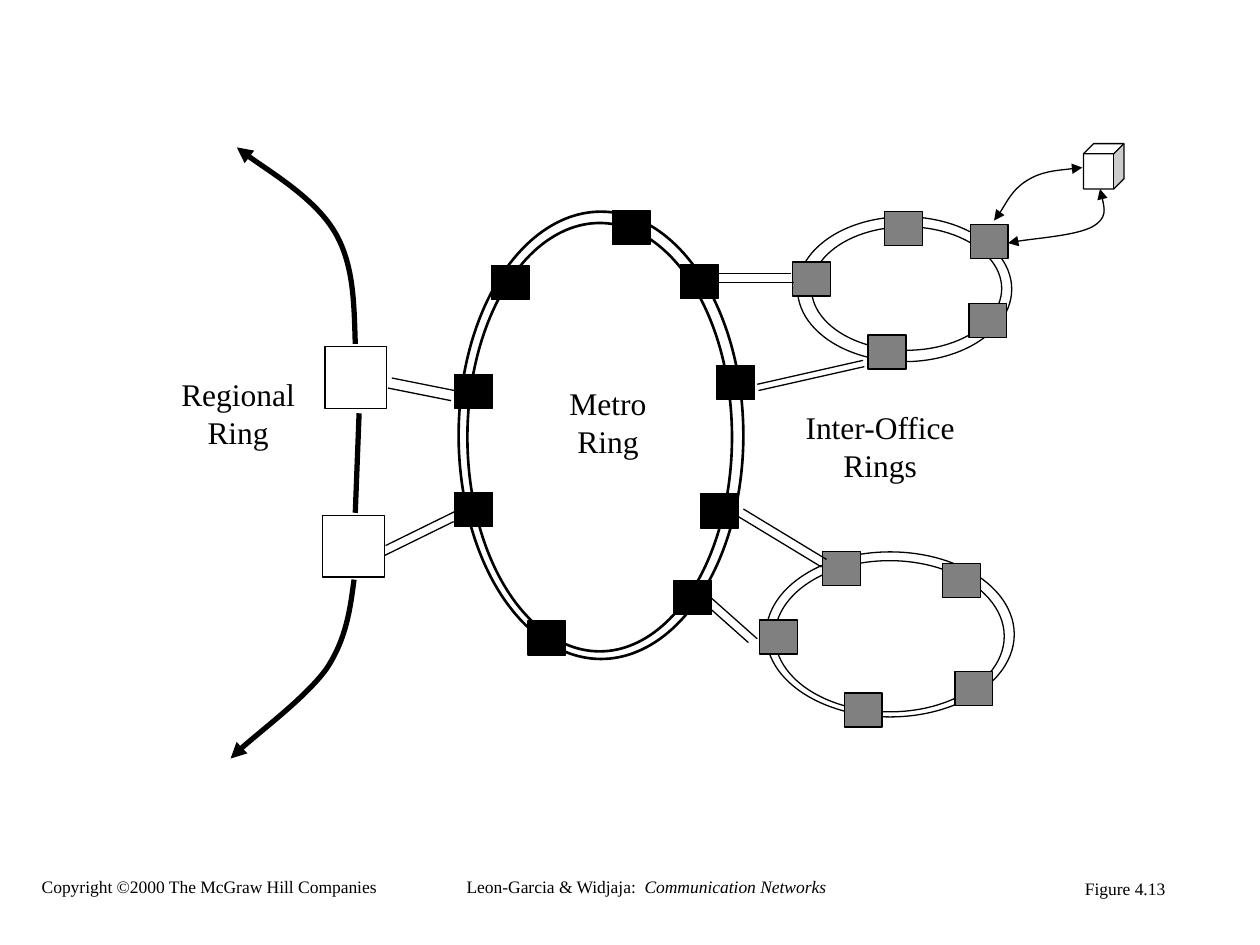
from lxml import etree
from pptx import Presentation
from pptx.dml.color import RGBColor
from pptx.enum.shapes import MSO_CONNECTOR, MSO_SHAPE
from pptx.enum.text import MSO_ANCHOR, PP_ALIGN
from pptx.oxml.ns import qn
from pptx.util import Cm, Pt

OVAL, SQUARE, CUBE = MSO_SHAPE.OVAL, MSO_SHAPE.RECTANGLE, MSO_SHAPE.CUBE
STRAIGHT = MSO_CONNECTOR.STRAIGHT
MIDDLE, CENTER = MSO_ANCHOR.MIDDLE, PP_ALIGN.CENTER
FONT = "Times New Roman"
BLACK, GRAY, WHITE = "000000", "808080", "FFFFFF"
CM_PER_INCH = 2.54
THIN, MEDIUM, THICK = 0.75, 1.5, 3
NODE_SIZE = (0.3, 0.27)
HUB_SIZE = (0.49, 0.49)

RINGS = [
    {"outer": (6.08, 4.38, 1.97, 1.31), "inner": (6.15, 4.45, 1.82, 1.2),
     "line": THIN, "fill": GRAY,
     "nodes": [(7.58, 5.33), (7.48, 4.47), (6.53, 4.38), (6.7, 5.5), (6.03, 4.92)]},
    {"outer": (6.33, 1.72, 1.7, 1.15), "inner": (6.44, 1.8, 1.51, 0.98),
     "line": THIN, "fill": GRAY,
     "nodes": [(7.69, 2.41), (7.02, 1.68), (6.29, 2.08), (6.89, 2.66), (7.7, 1.78)]},
    {"outer": (3.64, 1.68, 2.26, 3.55), "inner": (3.71, 1.77, 2.1, 3.4),
     "line": MEDIUM, "fill": BLACK,
     "nodes": [(5.69, 2.9), (5.4, 2.1), (4.86, 1.67), (5.56, 3.92), (3.61, 3.91),
               (4.19, 4.93), (3.61, 2.97), (5.35, 4.61), (3.9, 2.11)]},
]
HUBS = [(2.58, 2.75), (2.56, 4.09)]
CUSTOMER = (8.6, 1.14, 0.32, 0.36)

DOUBLE_LINKS = [
    ((5.71, 2.24), (6.3, 2.24), (-0.02, -0.07)),
    ((6.01, 3.05), (6.85, 2.86), (0.01, 0.05)),
    ((5.9, 4.04), (6.56, 4.44), (-0.04, 0.06)),
    ((5.65, 4.75), (6.01, 5.07), (-0.07, 0.03)),
    ((3.11, 3), (3.61, 3.1), (-0.03, 0.08)),
    ((3.06, 4.33), (3.61, 4.06), (-0.01, 0.08)),
]
HUB_LINK = ((2.85, 3.28), (2.82, 4.07))

CURVES = [
    ([(8.59, 1.33), (8.42, 1.35), (8.26, 1.36), (8.14, 1.44),
      (8.03, 1.51), (7.94, 1.7), (7.89, 1.75)], THIN, ("headEnd", "tailEnd")),
    ([(8.73, 1.5), (8.76, 1.61), (8.79, 1.73), (8.67, 1.8),
      (8.54, 1.87), (8.11, 1.9), (8, 1.93)], THIN, ("headEnd", "tailEnd")),
    ([(2.81, 4.6), (2.78, 4.83), (2.75, 5.07), (2.59, 5.31),
      (2.42, 5.54), (1.95, 5.89), (1.83, 6.02)], THICK, ("tailEnd",)),
    ([(2.82, 2.73), (2.81, 2.41), (2.81, 2.09), (2.65, 1.83),
      (2.49, 1.57), (2.01, 1.28), (1.88, 1.17)], THICK, ("tailEnd",)),
]

LABELS = [
    ((6.29, 3.19, 1.39, 0.7), 18, [[("Inter-Office", False)], [("Rings", False)]]),
    ((4.42, 3, 0.81, 0.7), 18, [[("Metro", False)], [("Ring", False)]]),
    ((1.34, 2.93, 1.1, 0.7), 18, [[("Regional", False)], [("Ring", False)]]),
    ((8.51, 6.92, 0.84, 0.27), 10, [[("Figure 4.13", False)]]),
    ((3.6, 6.9, 3.06, 0.27), 10,
     [[("Leon-Garcia & Widjaja:  ", False), ("Communication Networks", True)]]),
    ((0.23, 6.9, 2.86, 0.27), 10,
     [[("Copyright ©2000 The McGraw Hill Companies", False)]]),
]


def lengths(inches):
    return [Cm(value * CM_PER_INCH) for value in inches]


def color(value):
    return RGBColor.from_string(value)


def set_line(shape, width):
    shape.line.color.rgb = color(BLACK)
    shape.line.width = Pt(width)


def add_figure(slide, kind, place, width, fill=None):
    shape = slide.shapes.add_shape(kind, *lengths(place))
    shape.shadow.inherit = False
    if fill:
        shape.fill.solid()
        shape.fill.fore_color.rgb = color(fill)
    else:
        shape.fill.background()
    set_line(shape, width)


def add_line(slide, start, end, width):
    line = slide.shapes.add_connector(STRAIGHT, *lengths(start + end))
    set_line(line, width)
    etree.SubElement(line._element.spPr, qn("a:effectLst"))


def add_curve(slide, points, width, arrows):
    first, *rest = [lengths(point) for point in points]
    builder = slide.shapes.build_freeform(*first)
    builder.add_line_segments(rest, close=False)
    shape = builder.convert_to_shape()
    shape.shadow.inherit = False
    shape.fill.background()
    set_line(shape, width)
    segments = shape._element.xpath(".//a:lnTo")
    for index in range(0, len(segments), 3):
        bezier = etree.Element(qn("a:cubicBezTo"))
        segments[index].addprevious(bezier)
        for segment in segments[index:index + 3]:
            bezier.append(segment[0])
            segment.getparent().remove(segment)
    outline = shape._element.spPr.find(qn("a:ln"))
    for arrow in arrows:
        etree.SubElement(outline, qn(f"a:{arrow}"), type="triangle")


def add_label(slide, place, size, lines):
    box = slide.shapes.add_textbox(*lengths(place))
    frame = box.text_frame
    frame.word_wrap = False
    frame.vertical_anchor = MIDDLE
    for index, runs in enumerate(lines):
        para = frame.add_paragraph() if index else frame.paragraphs[0]
        para.alignment = CENTER
        for text, italic in runs:
            span = para.add_run()
            span.text = text
            span.font.name = FONT
            span.font.size = Pt(size)
            span.font.italic = italic
            span.font.color.rgb = color(BLACK)


def main():
    deck = Presentation()
    deck.slide_width, deck.slide_height = lengths((10, 7.5))
    slide = deck.slides.add_slide(deck.slide_layouts[6])
    for ring in RINGS:
        add_figure(slide, OVAL, ring["outer"], ring["line"])
        add_figure(slide, OVAL, ring["inner"], ring["line"], WHITE)
        for node in ring["nodes"]:
            add_figure(slide, SQUARE, node + NODE_SIZE, THIN, ring["fill"])
    for hub in HUBS:
        add_figure(slide, SQUARE, hub + HUB_SIZE, THIN, WHITE)
    add_figure(slide, CUBE, CUSTOMER, THIN, WHITE)
    for start, end, (right, down) in DOUBLE_LINKS:
        add_line(slide, start, end, THIN)
        add_line(slide, (start[0] + right, start[1] + down),
                 (end[0] + right, end[1] + down), THIN)
    add_line(slide, *HUB_LINK, THICK)
    for curve in CURVES:
        add_curve(slide, *curve)
    for label in LABELS:
        add_label(slide, *label)
    deck.save("out.pptx")


if __name__ == "__main__":
    main()
